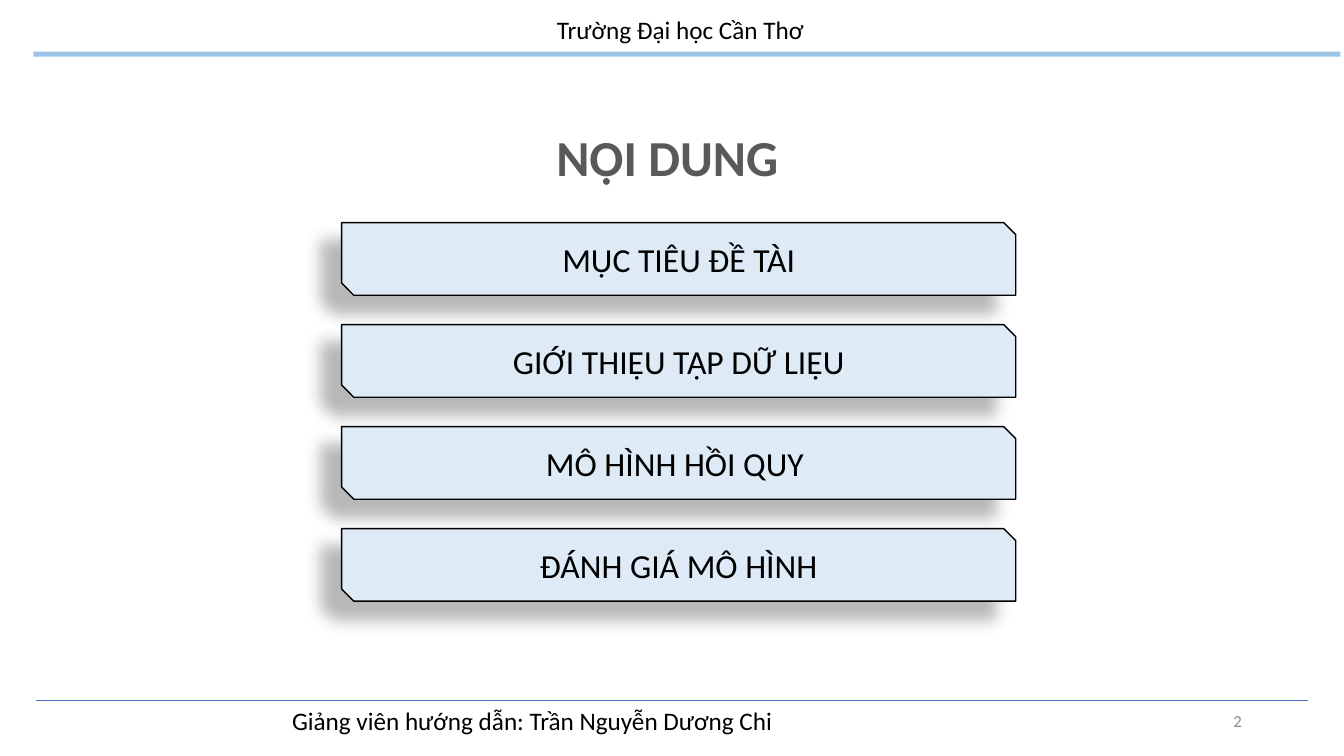
from dataclasses import dataclass

from lxml import etree
from pptx import Presentation
from pptx.dml.color import RGBColor
from pptx.enum.shapes import MSO_CONNECTOR, MSO_SHAPE
from pptx.enum.text import MSO_ANCHOR, PP_ALIGN
from pptx.oxml import parse_xml
from pptx.oxml.ns import nsdecls, qn
from pptx.util import Cm, Pt

LEFT, CENTER, RIGHT = PP_ALIGN.LEFT, PP_ALIGN.CENTER, PP_ALIGN.RIGHT
TOP, MIDDLE = MSO_ANCHOR.TOP, MSO_ANCHOR.MIDDLE
RECTANGLE, SNIPPED = MSO_SHAPE.RECTANGLE, MSO_SHAPE.SNIP_2_DIAG_RECTANGLE
STRAIGHT = MSO_CONNECTOR.STRAIGHT


@dataclass(frozen=True)
class Theme:
    font: str = "Calibri"
    ink: str = "000000"
    title: str = "595959"
    muted: str = "8C8C8C"
    band: str = "9DC3E6"
    rule: str = "4472C4"
    topic: str = "DEEBF7"
    title_size: int = 36
    topic_size: int = 24
    edge_size: int = 18
    number_size: int = 12


THEME = Theme()
TOPICS = [
    "MỤC TIÊU ĐỀ TÀI",
    "GIỚI THIỆU TẬP DỮ LIỆU",
    "MÔ HÌNH HỒI QUY ",
    "ĐÁNH GIÁ MÔ HÌNH",
]
TOPIC_TOP, TOPIC_PITCH = 5.61, 2.57


def color(value):
    return RGBColor.from_string(value)


def write(shape, text, size, ink=THEME.ink, align=LEFT, anchor=TOP, bold=False):
    frame = shape.text_frame
    frame.word_wrap = True
    frame.vertical_anchor = anchor
    para = frame.paragraphs[0]
    para.text = text
    para.alignment = align
    para.font.name = THEME.font
    para.font.size = Pt(size)
    para.font.bold = bold
    para.font.color.rgb = color(ink)


def add_label(page, place, text, size, **style):
    box = page.shapes.add_textbox(*map(Cm, place))
    write(box, text, size, **style)


def add_block(page, kind, place, fill):
    block = page.shapes.add_shape(kind, *map(Cm, place))
    block.shadow.inherit = False
    block.fill.solid()
    block.fill.fore_color.rgb = color(fill)
    block.line.fill.background()
    return block


def add_rule(page, left, right, height):
    rule = page.shapes.add_connector(STRAIGHT, Cm(left), Cm(height), Cm(right), Cm(height))
    rule.line.color.rgb = color(THEME.rule)
    rule.line.width = Pt(0.5)
    etree.SubElement(rule._element.spPr, qn("a:effectLst"))


def cast_shadow(shape):
    effects = shape._element.spPr.find(qn("a:effectLst"))
    effects.append(parse_xml(
        f'<a:outerShdw {nsdecls("a")} blurRad="{Pt(11.8)}" dist="{Pt(19.7)}" '
        f'dir="{141 * 60000}" algn="ctr" rotWithShape="0">'
        f'<a:srgbClr val="{THEME.ink}"><a:alpha val="28000"/></a:srgbClr></a:outerShdw>'
    ))


def add_topic(page, top, text):
    topic = add_block(page, SNIPPED, (8.61, top, 16.99, 1.83), THEME.topic)
    topic.line.color.rgb = color(THEME.ink)
    topic.line.width = Pt(1)
    cast_shadow(topic)
    write(topic, text, THEME.topic_size, align=CENTER, anchor=MIDDLE)


def main():
    deck = Presentation()
    deck.slide_width, deck.slide_height = Cm(33.87), Cm(19.05)
    page = deck.slides.add_slide(deck.slide_layouts[6])

    add_block(page, RECTANGLE, (0.84, 1.3, 32.94, 0.13), THEME.band)
    add_label(page, (7.19, 0.18, 19.91, 1.12), "Trường Đại học Cần Thơ",
              THEME.edge_size, align=CENTER, anchor=MIDDLE)
    add_rule(page, 0.91, 32.97, 17.65)
    add_label(page, (7.11, 17.65, 19.43, 1.02),
              "Giảng viên hướng dẫn: Trần Nguyễn Dương Chi", THEME.edge_size)
    add_label(page, (23.93, 17.65, 7.62, 1.02), "2", THEME.number_size,
              ink=THEME.muted, align=RIGHT, anchor=MIDDLE)

    for index, text in enumerate(TOPICS):
        add_topic(page, TOPIC_TOP + index * TOPIC_PITCH, text)
    add_label(page, (13.77, 3.05, 12.27, 1.8), "NỘI DUNG", THEME.title_size,
              ink=THEME.title, bold=True)

    deck.save("out.pptx")


if __name__ == "__main__":
    main()
